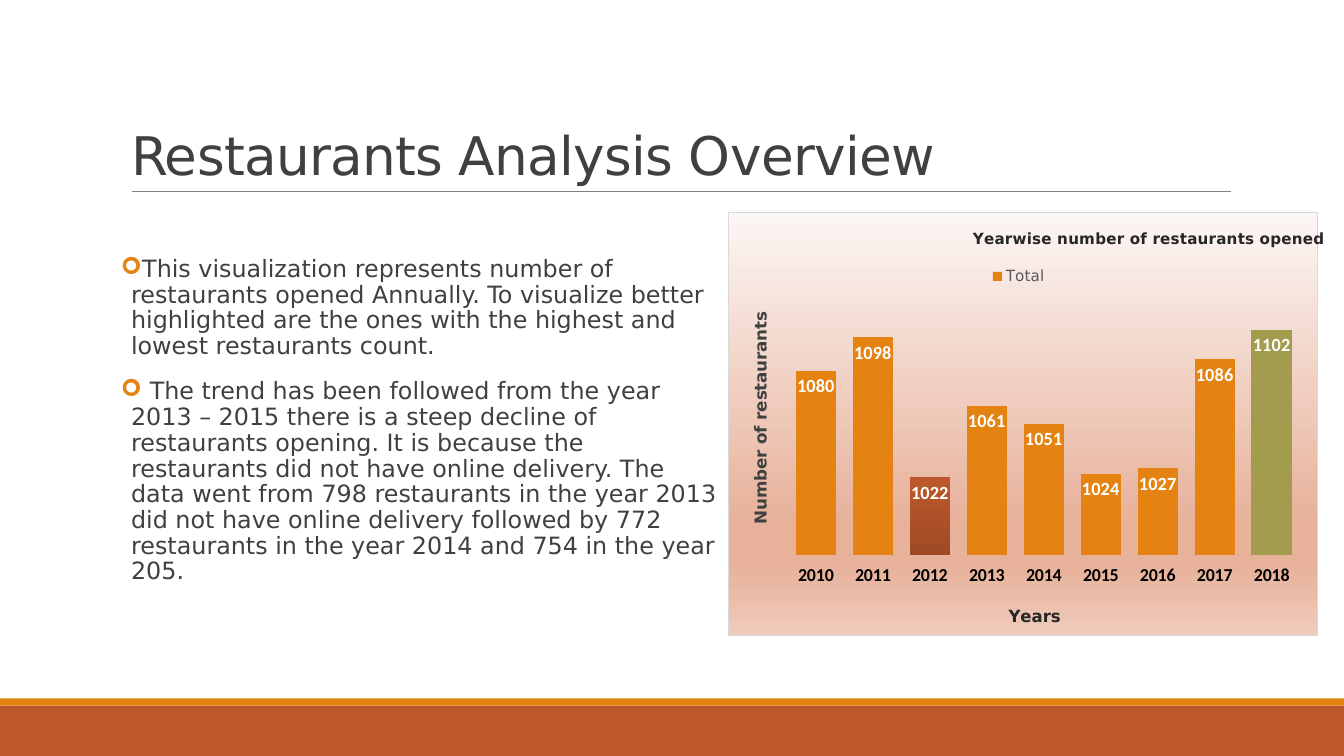
"""Build the slide on restaurants opened per year."""
from lxml.etree import SubElement
from pptx import Presentation
from pptx.chart.data import CategoryChartData
from pptx.dml.color import RGBColor
from pptx.enum.chart import XL_CHART_TYPE, XL_LABEL_POSITION, XL_LEGEND_POSITION, XL_TICK_LABEL_POSITION, XL_TICK_MARK
from pptx.enum.shapes import MSO_CONNECTOR, MSO_SHAPE
from pptx.enum.text import MSO_ANCHOR, MSO_AUTO_SIZE, PP_ALIGN
from pptx.oxml import parse_xml
from pptx.oxml.ns import nsdecls, qn
from pptx.util import Inches, Pt

TITLE = "Restaurants Analysis Overview"
POINTS = [
    "This visualization represents number of restaurants opened Annually. To visualize better "
    "highlighted are the ones with the highest and lowest restaurants count.",
    " The trend has been followed from the year 2013 – 2015 there is a steep decline of "
    "restaurants opening. It is because the restaurants did not have online delivery. The data "
    "went from 798 restaurants in the year 2013 did not have online delivery followed by 772 "
    "restaurants in the year 2014 and 754 in the year 205.",
]
HEAD = "Yearwise number of restaurants opened"
COUNTS = {"2010": 1080, "2011": 1098, "2012": 1022, "2013": 1061, "2014": 1051,
          "2015": 1024, "2016": 1027, "2017": 1086, "2018": 1102}
HUES = {"orange": "E48312", "rust": "BD582C", "brown": "9F4A25", "olive": "A39B4E",
        "text": "404040", "dark": "262626", "grey": "595959", "rule": "808080",
        "edge": "D9D9D9", "white": "FFFFFF", "black": "000000"}
BACK = [(0, "FCF6F4"), (74, "E7B19A"), (83, "E7B19A"), (100, "EFCBBC")]
SANS = "DejaVu Sans"


def hue(name):
    """Return the named colour."""
    return RGBColor.from_string(HUES[name])


def style(font, size, color, bold=False, face=SANS):
    """Format a font."""
    font.size, font.bold, font.name = Pt(size), bold, face
    font.color.rgb = hue(color)


def write(frame, text, size=17, color="text", bold=False, line=None, before=0, after=0, first=True):
    """Write one paragraph into a text frame and return it."""
    para = frame.paragraphs[0] if first else frame.add_paragraph()
    para.alignment = PP_ALIGN.LEFT
    if line:
        para.line_spacing = line
        para.space_before, para.space_after = Pt(before), Pt(after)
    run = para.add_run()
    run.text = text
    style(run.font, size, color, bold)
    return para


def bullet(para):
    """Give a paragraph an arrow bullet and a hanging indent."""
    props = para._p.get_or_add_pPr()
    props.set("marL", str(Inches(0.1)))
    props.set("indent", str(-Inches(0.1)))
    tint = SubElement(props, qn("a:buClr"))
    SubElement(tint, qn("a:srgbClr"), val=HUES["orange"])
    SubElement(props, qn("a:buFont"), typeface="Wingdings")
    SubElement(props, qn("a:buChar"), char="➢")


def place(part, index, **spots):
    """Set the manual layout of a chart part."""
    for old in part.findall(qn("c:layout")):
        part.remove(old)
    layout = parse_xml(f"<c:layout {nsdecls('c')}><c:manualLayout/></c:layout>")
    if "w" in spots:
        SubElement(layout[0], qn("c:layoutTarget"), val="inner")
    for key in ("xMode", "yMode"):
        SubElement(layout[0], qn("c:" + key), val="edge")
    for key, val in spots.items():
        SubElement(layout[0], qn("c:" + key), val=str(val))
    part.insert(index, layout)


def band(slide, top, high, color):
    """Draw a full-width band."""
    shape = slide.shapes.add_shape(MSO_SHAPE.RECTANGLE, 0, Inches(top), Inches(13.33), Inches(high))
    shape.shadow.inherit = False
    shape.fill.solid()
    shape.fill.fore_color.rgb = hue(color)
    shape.line.fill.background()


def paint(chart):
    """Give the chart its gradient ground and thin border."""
    stops = "".join(f'<a:gs pos="{pos * 1000}"><a:srgbClr val="{color}"/></a:gs>' for pos, color in BACK)
    props = parse_xml(
        f'<c:spPr {nsdecls("c", "a")}><a:gradFill><a:gsLst>{stops}</a:gsLst><a:lin ang="5400000"/></a:gradFill>'
        f'<a:ln w="{Pt(0.75)}"><a:solidFill><a:srgbClr val="{HUES["edge"]}"/></a:solidFill></a:ln></c:spPr>')
    chart._chartSpace.find(qn("c:chart")).addnext(props)


def graph(slide):
    """Add the yearly column chart."""
    data = CategoryChartData()
    data.categories = list(COUNTS)
    data.add_series("Total", list(COUNTS.values()))
    chart = slide.shapes.add_chart(XL_CHART_TYPE.COLUMN_CLUSTERED, Inches(7.22), Inches(2.1),
                                   Inches(5.95), Inches(4.21), data).chart
    style(chart.font, 10, "black", face="Calibri")
    paint(chart)
    years, scale = chart.category_axis, chart.value_axis
    scale.minimum_scale, scale.maximum_scale = 980, 1120
    scale.has_major_gridlines = False
    scale.visible = False
    years.major_tick_mark = XL_TICK_MARK.NONE
    years.tick_label_position = XL_TICK_LABEL_POSITION.LOW
    years.format.line.fill.background()
    style(years.tick_labels.font, 13, "black", True, "Calibri")

    for owner, text, size, color, x, y in ((chart, HEAD, 11, "dark", 0.41, 0.03),
                                           (years, "Years", 12, "dark", 0.47, 0.92),
                                           (scale, "Number of restaurants", 12, "text", 0.03, 0.22)):
        title = owner.chart_title if owner is chart else owner.axis_title
        write(title.text_frame, text, size, color, True)
        place(title._element, 1, x=x, y=y)
    chart.chart_title.include_in_layout = False

    chart.has_legend = True
    chart.legend.position = XL_LEGEND_POSITION.TOP
    chart.legend.include_in_layout = False
    style(chart.legend.font, 11, "grey")
    place(chart.legend._element, 1, x=0.44, y=0.12)
    place(chart._chartSpace.chart.plotArea, 0, x=0.1, y=0.2, w=0.87, h=0.61)

    plot = chart.plots[0]
    plot.gap_width, plot.vary_by_categories = 41, False
    plot.has_data_labels = True
    labels = plot.data_labels
    labels.show_value, labels.position = True, XL_LABEL_POSITION.INSIDE_END
    style(labels.font, 13.3, "white", True, "Calibri")
    total = plot.series[0]
    total.invert_if_negative = False
    total.format.fill.solid()
    total.format.fill.fore_color.rgb = hue("orange")
    counts = list(COUNTS.values())
    low = total.points[counts.index(min(counts))].format.fill
    low.gradient()
    low.gradient_angle = 270
    for stop, color in zip(low.gradient_stops, ("rust", "brown")):
        stop.color.rgb = hue(color)
    high = total.points[counts.index(max(counts))].format.fill
    high.solid()
    high.fore_color.rgb = hue("olive")


def main():
    """Assemble and save the slide."""
    deck = Presentation()
    deck.slide_width, deck.slide_height = Inches(13.33), Inches(7.5)
    slide = deck.slides.add_slide(deck.slide_layouts[5])
    band(slide, 7, 0.5, "rust")
    band(slide, 6.93, 0.07, "orange")
    rule = slide.shapes.add_connector(MSO_CONNECTOR.STRAIGHT, Inches(1.31), Inches(1.9), Inches(12.21), Inches(1.9))
    rule.line.color.rgb, rule.line.width = hue("rule"), Pt(0.5)
    SubElement(rule._element.spPr, qn("a:effectLst"))

    title = slide.shapes.title
    title.left, title.top, title.width, title.height = (Inches(n) for n in (1.2, 0.31, 11, 1.59))
    frame = title.text_frame
    frame.vertical_anchor, frame.auto_size = MSO_ANCHOR.BOTTOM, MSO_AUTO_SIZE.NONE
    para = write(frame, TITLE, 38, line=0.85)
    para.runs[0].font._element.set("spc", "-50")

    body = slide.shapes.add_textbox(Inches(1.2), Inches(2.5), Inches(5.95), Inches(3.92)).text_frame
    body.word_wrap = True
    body.margin_left = body.margin_right = 0
    for i, text in enumerate(POINTS):
        bullet(write(body, text, line=0.9, before=12 if i else 0, after=2, first=i == 0))
    graph(slide)
    deck.save("out.pptx")


if __name__ == "__main__":
    main()
